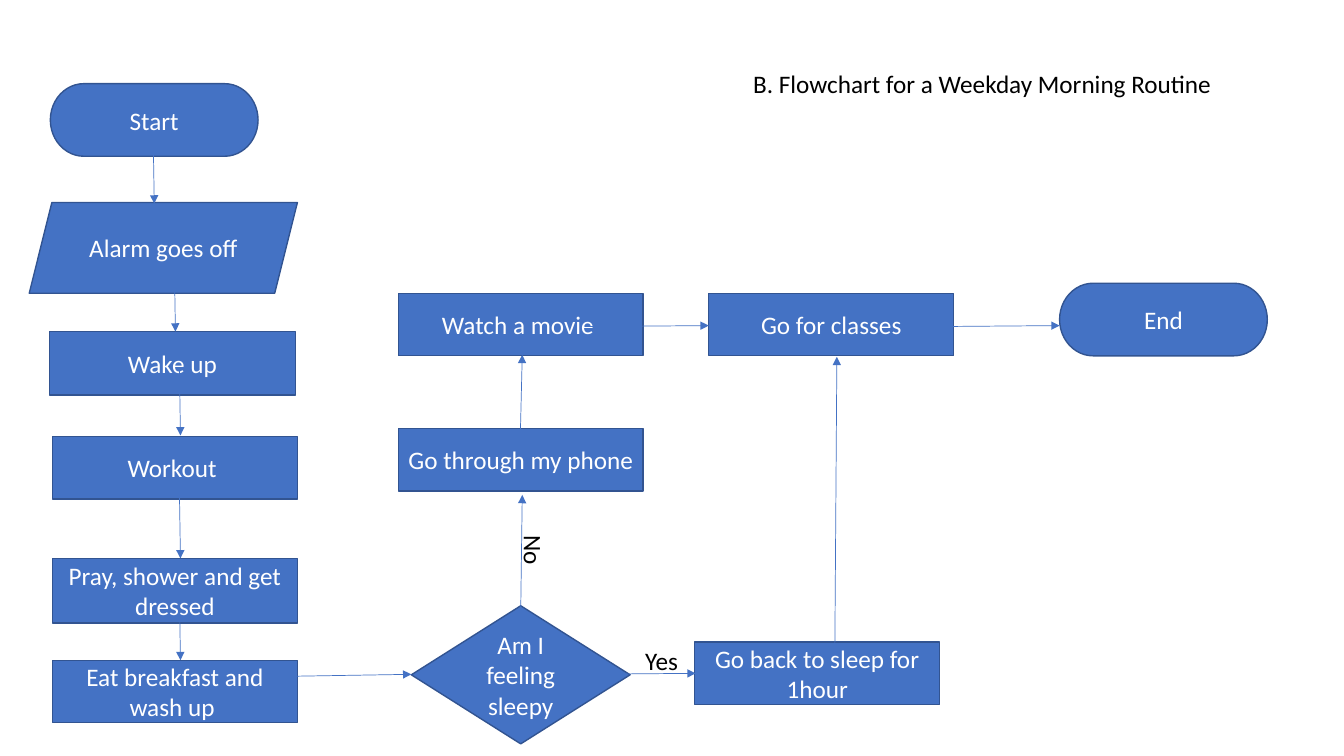
from lxml import etree
from pptx import Presentation
from pptx.dml.color import RGBColor
from pptx.enum.shapes import MSO_CONNECTOR, MSO_SHAPE
from pptx.enum.text import MSO_ANCHOR, MSO_AUTO_SIZE, PP_ALIGN
from pptx.oxml.ns import qn
from pptx.util import Emu, Pt

PX = 9144  # 100 px to the inch
BLUE = RGBColor(0x44, 0x72, 0xC4)
NAVY = RGBColor(0x32, 0x54, 0x91)
WHITE = RGBColor(0xFF, 0xFF, 0xFF)
BLACK = RGBColor(0, 0, 0)

RECT = MSO_SHAPE.RECTANGLE
PILL = MSO_SHAPE.FLOWCHART_TERMINATOR
SLANT = MSO_SHAPE.PARALLELOGRAM
DIAMOND = MSO_SHAPE.DIAMOND
STRAIGHT = MSO_CONNECTOR.STRAIGHT
LEFT, CENTER = PP_ALIGN.LEFT, PP_ALIGN.CENTER
TOP, MIDDLE = MSO_ANCHOR.TOP, MSO_ANCHOR.MIDDLE
NO_FIT, GROW = MSO_AUTO_SIZE.NONE, MSO_AUTO_SIZE.SHAPE_TO_FIT_TEXT


def px(*sizes):
    return [Emu(size * PX) for size in sizes]


class Chart:
    font, size = "Calibri", Pt(18)

    def __init__(self, slide):
        self.shapes = slide.shapes

    def set_text(self, shape, text, color, align, anchor, fit):
        frame = shape.text_frame
        frame.text = text
        frame.word_wrap = True
        frame.auto_size = fit
        frame.vertical_anchor = anchor
        line = frame.paragraphs[0]
        line.alignment = align
        line.font.name, line.font.size = self.font, self.size
        line.font.color.rgb = color

    def title(self, text, *box):
        head = self.shapes.title
        head.left, head.top, head.width, head.height = px(*box)
        self.set_text(head, text, BLACK, LEFT, TOP, NO_FIT)

    def step(self, text, kind, *box):
        shape = self.shapes.add_shape(kind, *px(*box))
        shape.shadow.inherit = False
        shape.fill.solid()
        shape.fill.fore_color.rgb = BLUE
        shape.line.color.rgb = NAVY
        shape.line.width = Pt(1)
        self.set_text(shape, text, WHITE, CENTER, MIDDLE, NO_FIT)

    def arrow(self, *ends):
        link = self.shapes.add_connector(STRAIGHT, *px(*ends))
        link.line.color.rgb = BLUE
        link.line.width = Pt(0.5)
        props = link.element.spPr
        tip = etree.SubElement(props.find(qn("a:ln")), qn("a:tailEnd"))
        tip.set("type", "triangle")
        etree.SubElement(props, qn("a:effectLst"))

    def label(self, text, left, top, turn=0):
        note = self.shapes.add_textbox(*px(left, top, 75, 40))
        note.rotation = turn
        self.set_text(note, text, BLACK, LEFT, TOP, GROW)


PILL_SIZE = (206, 72)
BOX_SIZE = (243, 62)
STEPS = [
    ("Start", PILL, 50, 83, *PILL_SIZE),
    ("End", PILL, 1051, 281, *PILL_SIZE),
    ("Alarm goes off", SLANT, 29, 201, 266, 90),
    ("Wake up", RECT, 49, 329, 244, 63),
    ("Workout ", RECT, 52, 433, *BOX_SIZE),
    ("Pray, shower and get dressed", RECT, 52, 554, 243, 64),
    ("Eat breakfast and wash up ", RECT, 52, 655, *BOX_SIZE),
    ("Am I feeling sleepy", DIAMOND, 408, 601, 217, 137),
    ("Go through my phone", RECT, 395, 425, *BOX_SIZE),
    ("Watch a movie ", RECT, 395, 291, *BOX_SIZE),
    ("Go back to sleep for 1hour", RECT, 689, 637, *BOX_SIZE),
    ("Go for classes", RECT, 703, 291, *BOX_SIZE),
]
ARROWS = [
    (152, 138, 153, 202),
    (173, 266, 174, 329),
    (178, 368, 179, 432),
    (178, 491, 179, 554),
    (178, 592, 179, 655),
    (284, 671, 408, 669),
    (516, 641, 518, 491),
    (516, 435, 518, 352),
    (567, 669, 690, 668),
    (828, 646, 830, 354),
    (580, 324, 703, 323),
    (928, 324, 1051, 323),
]


def main():
    deck = Presentation()
    deck.slide_width, deck.slide_height = px(1333, 750)
    chart = Chart(deck.slides.add_slide(deck.slide_layouts[5]))
    chart.title("B. Flowchart for a Weekday Morning Routine", 737, 63, 538, 40)
    for step in STEPS:
        chart.step(*step)
    for ends in ARROWS:
        chart.arrow(*ends)
    chart.label("Yes", 630, 635)
    chart.label("No", 492, 539, 90)
    deck.save("out.pptx")


if __name__ == "__main__":
    main()
